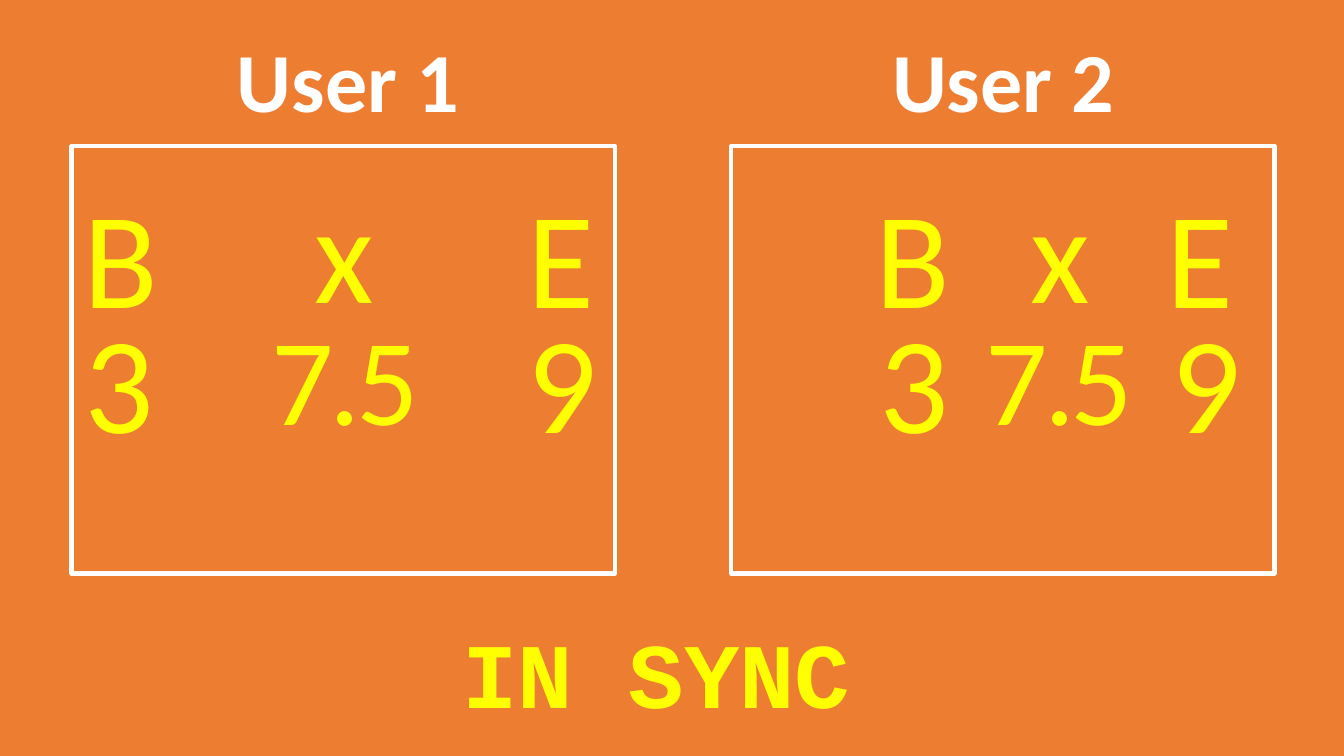
from pptx import Presentation
from pptx.dml.color import RGBColor
from pptx.enum.shapes import MSO_SHAPE
from pptx.enum.text import MSO_AUTO_SIZE, PP_ALIGN
from pptx.util import Inches, Pt

ORANGE = RGBColor(0xED, 0x7D, 0x31)
WHITE = RGBColor(0xFF, 0xFF, 0xFF)
YELLOW = RGBColor(0xFF, 0xFF, 0x00)

USERS = [
    ("User 1", 0.71, 1.94, (0.73, 0.74), (3.02, 2.59), (5.13, 5.13)),
    ("User 2", 7.25, 8.44, (8.59, 8.62), (10.12, 9.68), (11.47, 11.52)),
]


def add_frame(slide, left):
    frame = slide.shapes.add_shape(
        MSO_SHAPE.RECTANGLE, Inches(left), Inches(1.45), Inches(5.39), Inches(4.24))
    frame.shadow.inherit = False
    frame.fill.background()
    frame.line.color.rgb = WHITE
    frame.line.width = Pt(3)


def add_text(slide, text, left, top, width, height, size,
             color=YELLOW, face="Calibri", title=False, space=0):
    box = slide.shapes.add_textbox(
        Inches(left), Inches(top), Inches(width), Inches(height))
    frame = box.text_frame
    frame.word_wrap = True
    frame.auto_size = MSO_AUTO_SIZE.SHAPE_TO_FIT_TEXT
    frame.text = text
    line = frame.paragraphs[0]
    line.alignment = PP_ALIGN.CENTER if title else PP_ALIGN.LEFT
    run = line.runs[0]
    font = run.font
    font.name = face
    font.size = Pt(size)
    font.bold = title
    font.color.rgb = color
    if space:
        run._r.get_or_add_rPr().set("spc", str(space * 100))


def add_mark(slide, name, value, lefts):
    for text, left, top in zip((name, value), lefts, (1.65, 2.89)):
        add_text(slide, text, left, top, 0.94, 1.75, 98)


def add_point(slide, lefts):
    add_text(slide, "x", lefts[0], 1.6, 0.94, 1.75, 98)
    add_text(slide, "7.5", lefts[1], 2.95, 2.12, 1.58, 88, space=-3)


def add_user(slide, name, edge, head, begin, point, end):
    add_frame(slide, edge)
    add_text(slide, name, head, 0.23, 3.02, 1.11, 60, WHITE, title=True)
    add_mark(slide, "B", "3", begin)
    add_point(slide, point)
    add_mark(slide, "E", "9", end)


def main():
    deck = Presentation()
    deck.slide_width = Inches(13.33)
    deck.slide_height = Inches(7.5)
    slide = deck.slides.add_slide(deck.slide_layouts[6])
    fill = slide.background.fill
    fill.solid()
    fill.fore_color.rgb = ORANGE
    for user in USERS:
        add_user(slide, *user)
    add_text(slide, "IN SYNC", 2.27, 6.06, 8.48, 1.21, 66,
             face="Courier New", title=True)
    deck.save("out.pptx")


if __name__ == "__main__":
    main()
